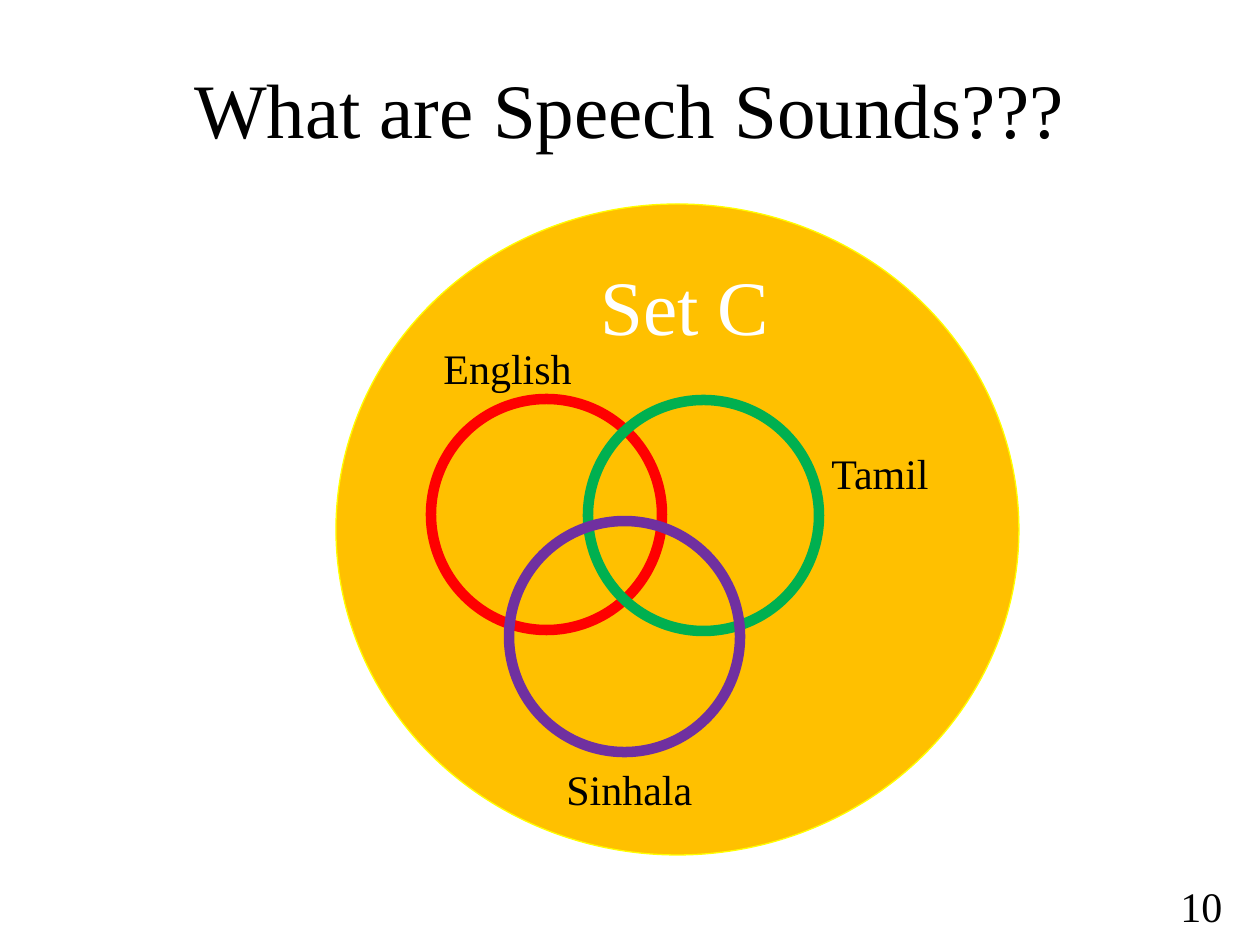
from pptx import Presentation
from pptx.dml.color import RGBColor
from pptx.enum.shapes import MSO_SHAPE
from pptx.enum.text import MSO_ANCHOR, MSO_AUTO_SIZE, PP_ALIGN
from pptx.util import Pt

OVAL = MSO_SHAPE.OVAL
MIDDLE = MSO_ANCHOR.MIDDLE
CENTER, LEFT = PP_ALIGN.CENTER, PP_ALIGN.LEFT
FIT_SHAPE, FIXED = MSO_AUTO_SIZE.SHAPE_TO_FIT_TEXT, MSO_AUTO_SIZE.NONE

BLACK = RGBColor(0x00, 0x00, 0x00)
WHITE = RGBColor(0xFF, 0xFF, 0xFF)
AMBER = RGBColor(0xFF, 0xC0, 0x00)
YELLOW = RGBColor(0xFF, 0xFF, 0x00)
RED = RGBColor(0xFF, 0x00, 0x00)
GREEN = RGBColor(0x00, 0xB0, 0x50)
PURPLE = RGBColor(0x70, 0x30, 0xA0)

FONT = "Times New Roman"
EMU_PER_PX = 914400 / 126
LANGUAGE_DIAMETER = 231

TITLE = ("What are Speech Sounds???", (94, 29, 1071, 157))
UNIVERSE = (336, 204, 683, 651)
SET_LABEL = ("Set C", (588, 252, 197, 106))
LANGUAGES = [
    ("English", RED, (431, 399), (431, 336, 155, 63)),
    ("Tamil", GREEN, (588, 400), (819, 441, 123, 63)),
    ("Sinhala", PURPLE, (509, 521), (554, 757, 152, 63)),
]
PAGE_NUMBER = ("10", (1168, 874, 102, 53))


def px(*lengths):
    return [round(length * EMU_PER_PX) for length in lengths]


def write(frame, text, size, color, align=LEFT):
    paragraph = frame.paragraphs[0]
    paragraph.alignment = align
    run = paragraph.add_run()
    run.text = text
    run.font.name = FONT
    run.font.size = Pt(size)
    run.font.color.rgb = color


def add_label(slide, text, box, size=24, color=BLACK, fit=True):
    frame = slide.shapes.add_textbox(*px(*box)).text_frame
    frame.word_wrap = not fit
    frame.auto_size = FIT_SHAPE if fit else FIXED
    write(frame, text, size, color)


def add_circle(slide, box, line_color, line_width, fill_color=None):
    circle = slide.shapes.add_shape(OVAL, *px(*box))
    circle.shadow.inherit = False
    if fill_color is None:
        circle.fill.background()
    else:
        circle.fill.solid()
        circle.fill.fore_color.rgb = fill_color
    circle.line.color.rgb = line_color
    circle.line.width = Pt(line_width)


def main():
    deck = Presentation()
    deck.slide_width, deck.slide_height = px(1260, 945)
    slide = deck.slides.add_slide(deck.slide_layouts[5])

    heading, heading_box = TITLE
    title = slide.shapes.title
    title.left, title.top, title.width, title.height = px(*heading_box)
    title.text_frame.vertical_anchor = MIDDLE
    write(title.text_frame, heading, 44, BLACK, CENTER)

    add_circle(slide, UNIVERSE, YELLOW, 0.75, AMBER)
    add_label(slide, *SET_LABEL, size=44, color=WHITE)
    for _, color, corner, _ in LANGUAGES:
        add_circle(slide, (*corner, LANGUAGE_DIAMETER, LANGUAGE_DIAMETER), color, 6)
    for language, _, _, label_box in LANGUAGES:
        add_label(slide, language, label_box)
    add_label(slide, *PAGE_NUMBER, fit=False)

    deck.save("out.pptx")


if __name__ == "__main__":
    main()
